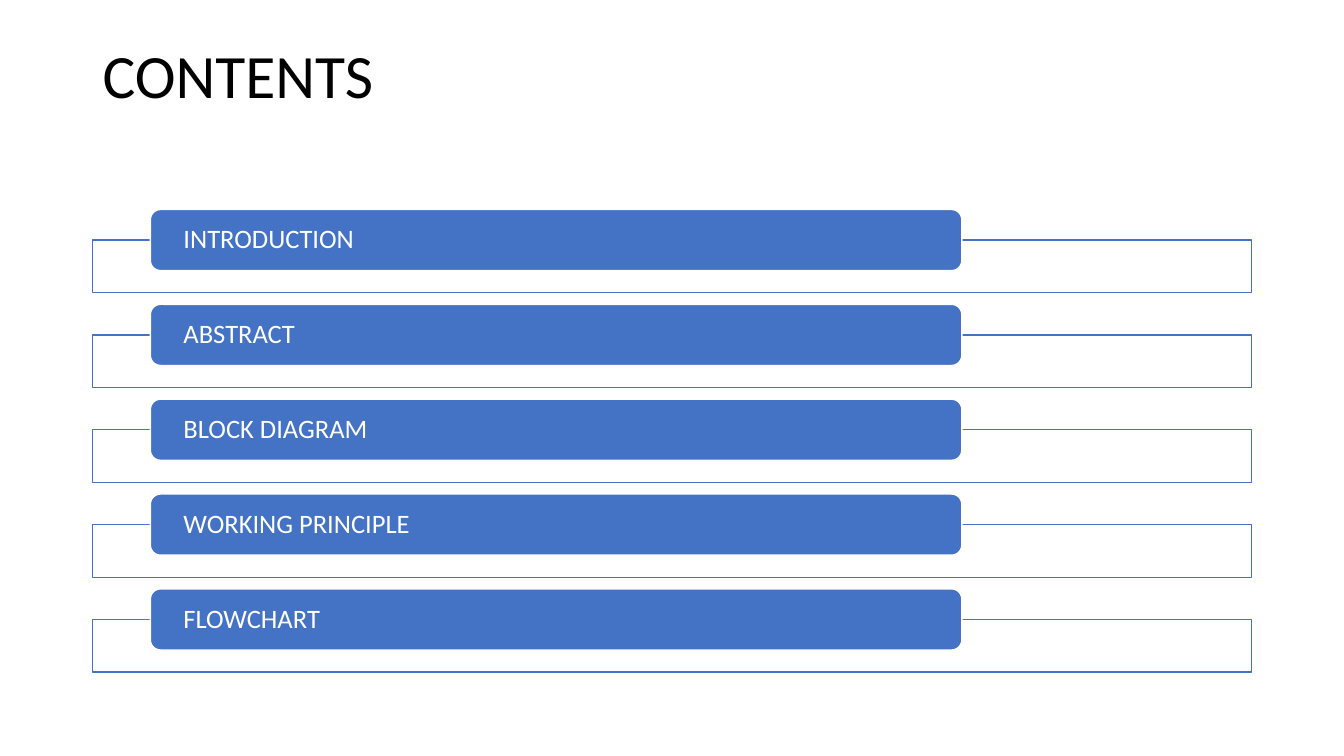
from dataclasses import dataclass

from lxml.etree import SubElement
from pptx import Presentation
from pptx.dml.color import RGBColor
from pptx.enum.shapes import MSO_SHAPE
from pptx.enum.text import MSO_ANCHOR, MSO_AUTO_SIZE, PP_ALIGN
from pptx.oxml.ns import qn
from pptx.shapes.autoshape import Shape
from pptx.slide import Slide
from pptx.util import Cm, Pt

BLUE = RGBColor(0x44, 0x72, 0xC4)
WHITE = RGBColor(0xFF, 0xFF, 0xFF)
BLACK = RGBColor(0, 0, 0)
FONT = "Calibri"

# Geometry in centimetres
FRAME_LEFT, FRAME_WIDTH, FRAME_HEIGHT = 2.33, 29.21, 1.33
BAR_LEFT, BAR_WIDTH, BAR_HEIGHT = 3.79, 20.45, 1.54
FIRST_ROW_TOP, ROW_PITCH = 6.05, 2.39


@dataclass(frozen=True)
class Section:
    heading: str
    frame_top: float


HEADINGS = ["INTRODUCTION", "ABSTRACT", "BLOCK DIAGRAM", "WORKING PRINCIPLE", "FLOWCHART"]
SECTIONS = [
    Section(heading, FIRST_ROW_TOP + row * ROW_PITCH)
    for row, heading in enumerate(HEADINGS)
]


def add_panel(slide: Slide, preset: MSO_SHAPE, left: float, top: float, width: float,
              height: float, fill: RGBColor, outline: RGBColor) -> Shape:
    panel = slide.shapes.add_shape(preset, Cm(left), Cm(top), Cm(width), Cm(height))
    panel.shadow.inherit = False
    panel.fill.solid()
    panel.fill.fore_color.rgb = fill
    panel.line.color.rgb = outline
    panel.line.width = Pt(1)
    return panel


def write_text(shape: Shape, text: str, size: float, color: RGBColor,
               anchor: MSO_ANCHOR) -> None:
    frame = shape.text_frame
    frame.text = text
    frame.word_wrap = True
    frame.auto_size = MSO_AUTO_SIZE.NONE
    frame.vertical_anchor = anchor
    paragraph = frame.paragraphs[0]
    paragraph.alignment = PP_ALIGN.LEFT
    paragraph.line_spacing = 0.9
    paragraph.font.name = FONT
    paragraph.font.size = Pt(size)
    paragraph.font.color.rgb = color


def add_section(slide: Slide, section: Section) -> None:
    # Outlined frame, 90 % opaque
    frame = add_panel(slide, MSO_SHAPE.RECTANGLE, FRAME_LEFT, section.frame_top,
                      FRAME_WIDTH, FRAME_HEIGHT, WHITE, BLUE)
    fill_color = frame.fill._xPr.find(qn("a:solidFill"))[0]
    SubElement(fill_color, qn("a:alpha")).set("val", "90000")

    # Heading bar, centred on the frame's top edge
    bar = add_panel(slide, MSO_SHAPE.ROUNDED_RECTANGLE, BAR_LEFT,
                    section.frame_top - BAR_HEIGHT / 2, BAR_WIDTH, BAR_HEIGHT, BLUE, WHITE)
    write_text(bar, section.heading, 19, WHITE, MSO_ANCHOR.MIDDLE)
    bar.text_frame.margin_left = bar.text_frame.margin_right = Cm(0.76)
    bar.text_frame.margin_top = bar.text_frame.margin_bottom = 0


def main() -> None:
    presentation = Presentation()
    presentation.slide_width, presentation.slide_height = Cm(33.87), Cm(19.05)
    slide = presentation.slides.add_slide(presentation.slide_layouts[5])

    # Title
    title = slide.shapes.title
    title.left, title.top, title.width, title.height = Cm(2.33), Cm(1.01), Cm(29.21), Cm(3.68)
    write_text(title, "CONTENTS", 44, BLACK, MSO_ANCHOR.TOP)

    # List of sections
    for section in SECTIONS:
        add_section(slide, section)

    presentation.save("out.pptx")


if __name__ == "__main__":
    main()
